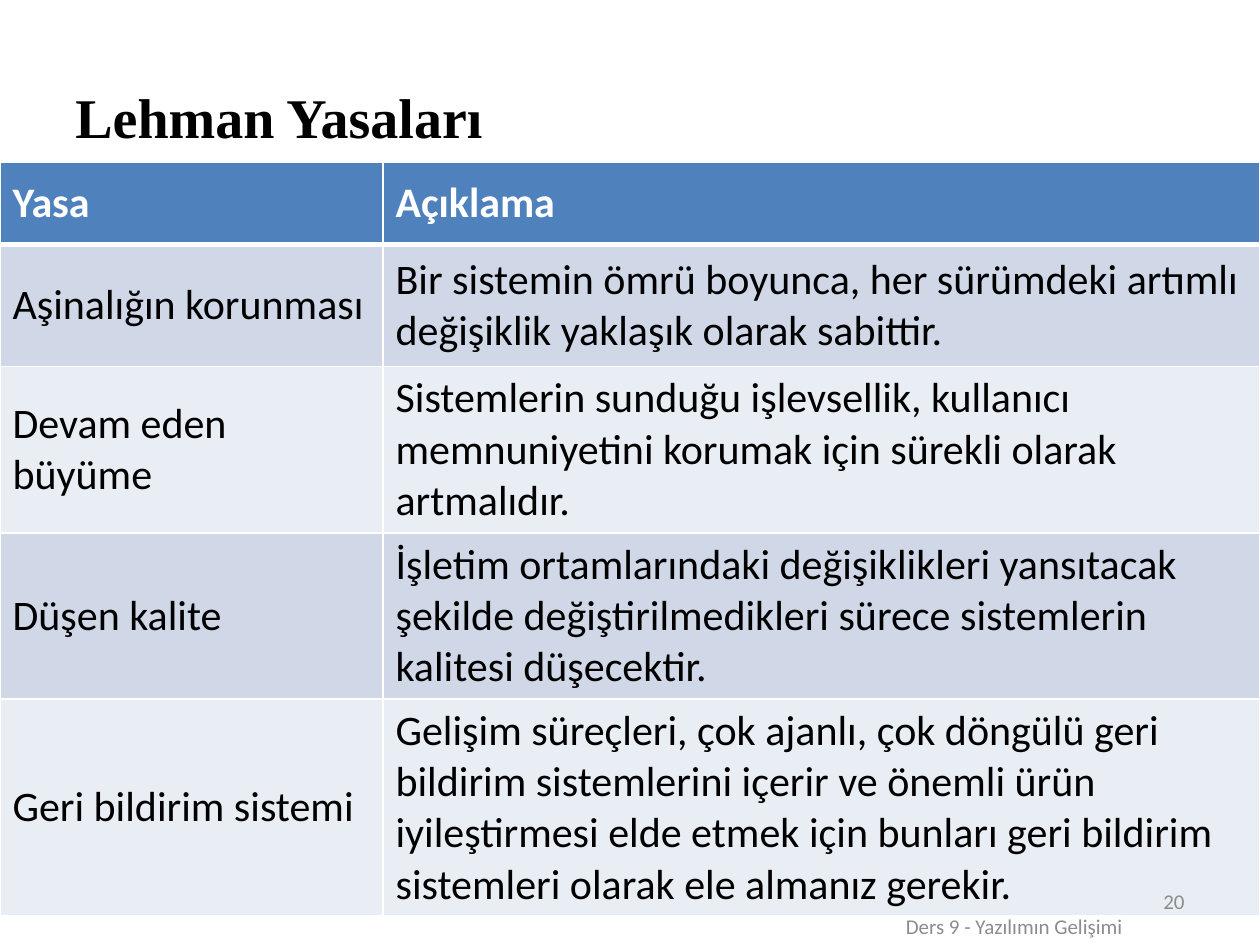
"""Build the slide on Lehman's laws: a title, a table of laws and a footer."""
from dataclasses import dataclass

from lxml.etree import SubElement
from pptx import Presentation
from pptx.dml.color import RGBColor
from pptx.enum.shapes import MSO_CONNECTOR
from pptx.enum.text import MSO_ANCHOR, PP_ALIGN
from pptx.oxml.ns import qn
from pptx.util import Inches, Pt

BLACK = RGBColor(0x00, 0x00, 0x00)
WHITE = RGBColor(0xFF, 0xFF, 0xFF)
GREY = RGBColor(0x8C, 0x8C, 0x8C)
DARK_GREY = RGBColor(0x40, 0x40, 0x40)
HEADER_BLUE = RGBColor(0x4F, 0x81, 0xBD)
BANDS = (RGBColor(0xD0, 0xD8, 0xE8), RGBColor(0xE9, 0xED, 0xF4))


@dataclass(frozen=True)
class Label:
    text: str
    left: float
    top: float
    width: float
    height: float
    size: int = 12
    font: str = "Calibri"
    color: RGBColor = GREY
    bold: bool = False
    align: PP_ALIGN = PP_ALIGN.LEFT


@dataclass(frozen=True)
class Row:
    law: str
    description: str
    height: float


TITLE = Label("Lehman Yasaları", 0.5, 0.3, 7.98, 1.25, 32, "Times New Roman", BLACK, True)
FOOTERS = (
    Label("20", 7.17, 6.95, 2.33, 0.4, align=PP_ALIGN.RIGHT),
    Label("Ders 9 - Yazılımın Gelişimi", 6.47, 7.15, 3.16, 0.4, align=PP_ALIGN.CENTER),
)
COLUMN_WIDTHS = (3.04, 6.96)
ROWS = (
    Row("Yasa", "Açıklama", 0.65),
    Row("Aşinalığın korunması",
        "Bir sistemin ömrü boyunca, her sürümdeki artımlı değişiklik yaklaşık "
        "olarak sabittir.", 0.97),
    Row("Devam eden büyüme",
        "Sistemlerin sunduğu işlevsellik, kullanıcı memnuniyetini korumak için "
        "sürekli olarak artmalıdır.", 1.32),
    Row("Düşen kalite",
        "İşletim ortamlarındaki değişiklikleri yansıtacak şekilde "
        "değiştirilmedikleri sürece sistemlerin kalitesi düşecektir.", 1.32),
    Row("Geri bildirim sistemi",
        "Gelişim süreçleri, çok ajanlı, çok döngülü geri bildirim sistemlerini "
        "içerir ve önemli ürün iyileştirmesi elde etmek için bunları geri bildirim "
        "sistemleri olarak ele almanız gerekir.", 1.72),
)


def style_font(p, size: int, name: str, color: RGBColor, bold: bool) -> None:
    p.font.size = Pt(size)
    p.font.name = name
    p.font.bold = bold
    p.font.color.rgb = color


def add_title_rule(s) -> None:
    y = Inches(TITLE.top + TITLE.height)
    rule = s.shapes.add_connector(MSO_CONNECTOR.STRAIGHT, Inches(TITLE.left), y,
                                  Inches(TITLE.left + TITLE.width), y)
    rule.line.color.rgb = DARK_GREY
    rule.line.width = Pt(2)
    SubElement(rule._element.spPr, qn("a:effectLst"))


def add_label(s, label: Label) -> None:
    box = s.shapes.add_textbox(Inches(label.left), Inches(label.top),
                               Inches(label.width), Inches(label.height))
    tf = box.text_frame
    tf.word_wrap = True
    tf.vertical_anchor = MSO_ANCHOR.MIDDLE
    p = tf.paragraphs[0]
    p.text = label.text
    p.alignment = label.align
    style_font(p, label.size, label.font, label.color, label.bold)


def set_borders(cell, top: int, bottom: int) -> None:
    tc_pr = cell._tc.get_or_add_tcPr()
    widths = {"a:lnL": 1, "a:lnR": 1, "a:lnT": top, "a:lnB": bottom}
    for i, (tag, width) in enumerate(widths.items()):
        line = SubElement(tc_pr, qn(tag), w=str(Pt(width)))
        fill = SubElement(line, qn("a:solidFill"))
        SubElement(fill, qn("a:srgbClr"), val=str(WHITE))
        tc_pr.insert(i, line)


def add_law_table(s) -> None:
    height = sum(row.height for row in ROWS)
    table = s.shapes.add_table(len(ROWS), len(COLUMN_WIDTHS), Inches(0), Inches(1.29),
                               Inches(sum(COLUMN_WIDTHS)), Inches(height)).table
    for column, width in zip(table.columns, COLUMN_WIDTHS):
        column.width = Inches(width)
    for i, row in enumerate(ROWS):
        table.rows[i].height = Inches(row.height)
        is_header = i == 0
        for j, text in enumerate((row.law, row.description)):
            cell = table.cell(i, j)
            cell.vertical_anchor = MSO_ANCHOR.MIDDLE
            cell.fill.solid()
            cell.fill.fore_color.rgb = HEADER_BLUE if is_header else BANDS[(i - 1) % 2]
            set_borders(cell, top=3 if i == 1 else 1, bottom=3 if is_header else 1)
            p = cell.text_frame.paragraphs[0]
            p.text = text
            style_font(p, 24, "Calibri", WHITE if is_header else BLACK, is_header)


def main() -> None:
    prs = Presentation()
    prs.slide_width, prs.slide_height = Inches(10), Inches(7.5)
    s = prs.slides.add_slide(prs.slide_layouts[6])
    add_title_rule(s)
    add_label(s, TITLE)
    add_law_table(s)
    for footer in FOOTERS:
        add_label(s, footer)
    prs.save("out.pptx")


if __name__ == "__main__":
    main()
